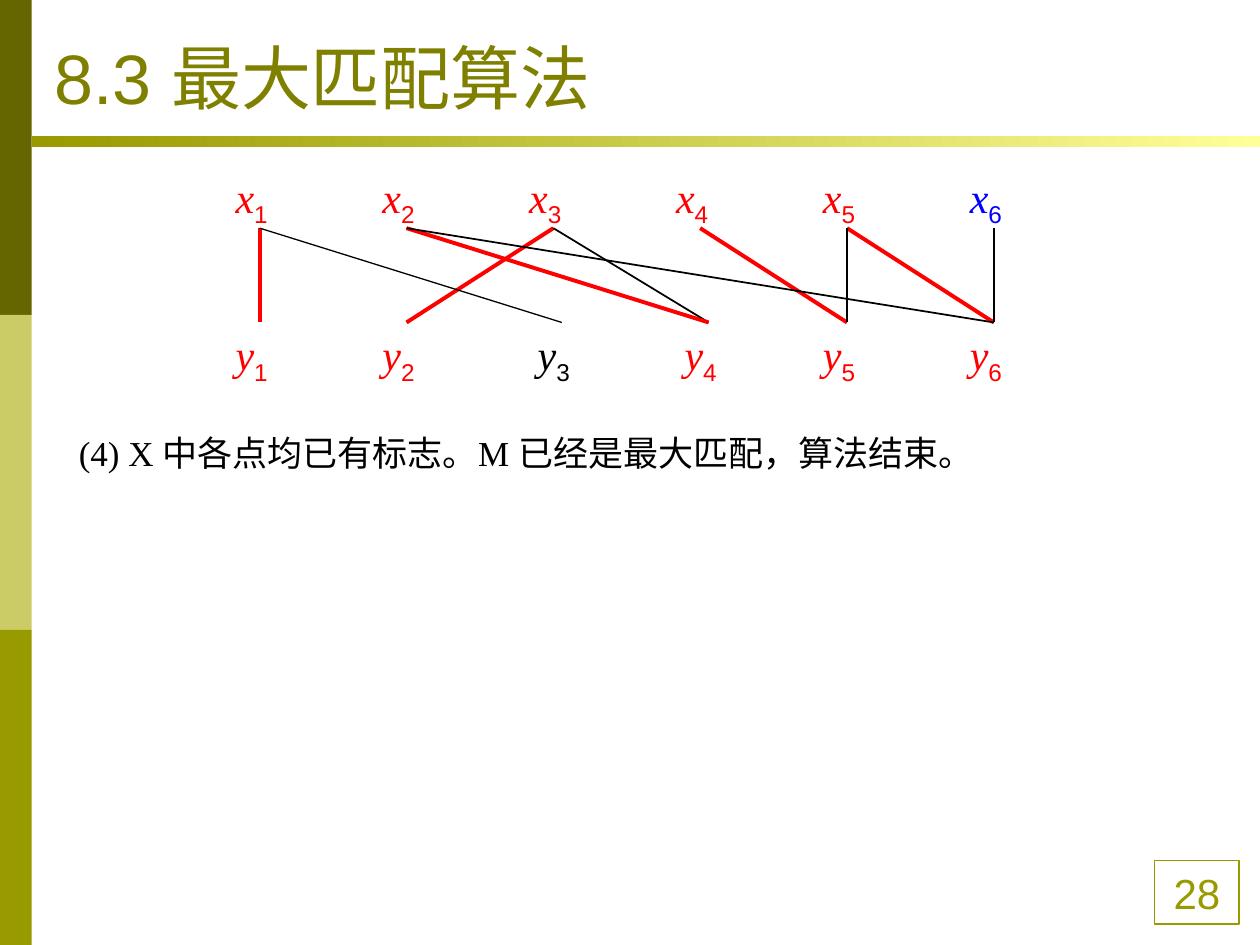
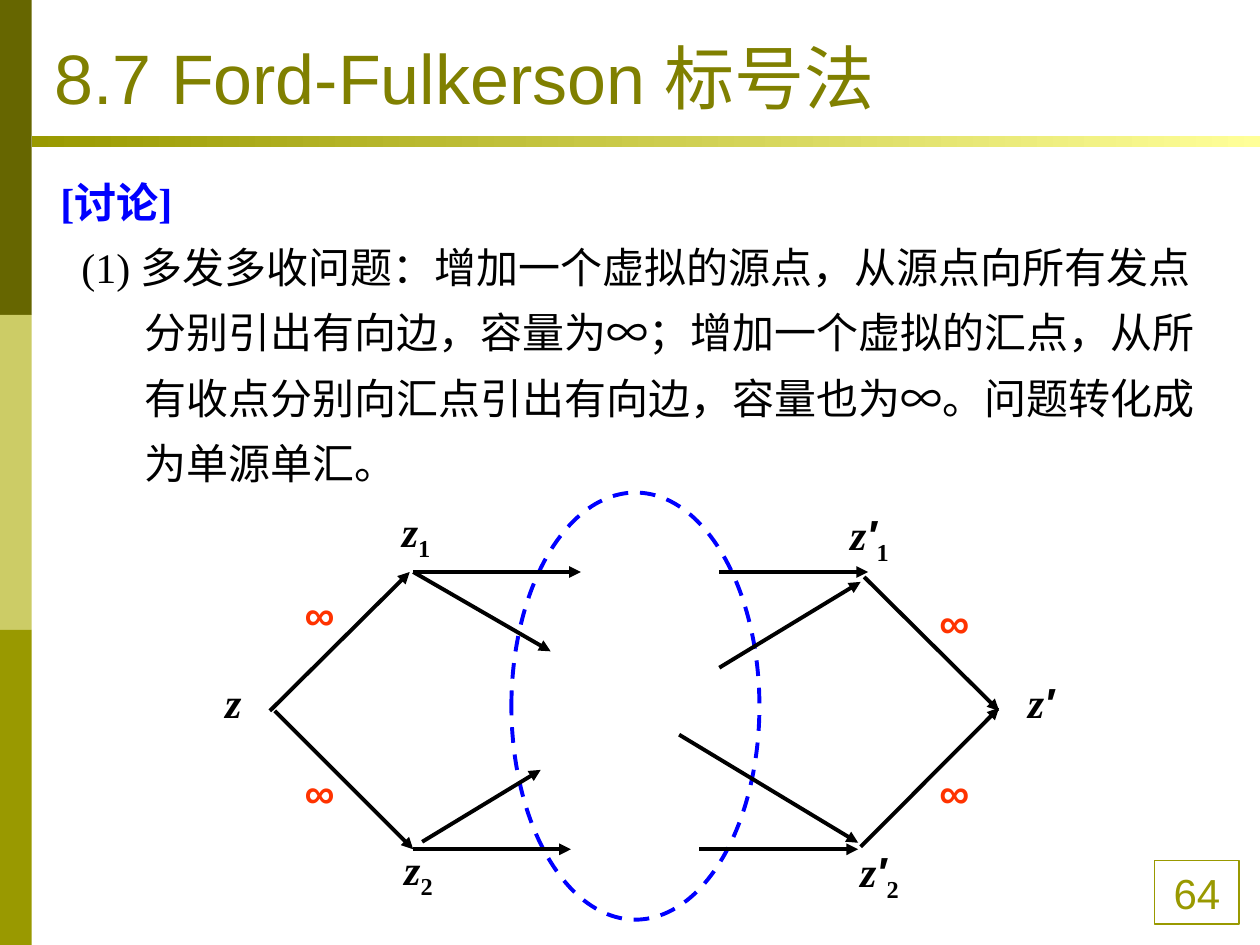
from lxml import etree
from pptx import Presentation
from pptx.dml.color import RGBColor
from pptx.enum.dml import MSO_LINE
from pptx.enum.shapes import MSO_CONNECTOR, MSO_SHAPE
from pptx.enum.text import MSO_ANCHOR, PP_ALIGN
from pptx.oxml.ns import qn
from pptx.util import Cm, Pt

RECTANGLE, ELLIPSE = MSO_SHAPE.RECTANGLE, MSO_SHAPE.OVAL
STRAIGHT, DASH = MSO_CONNECTOR.STRAIGHT, MSO_LINE.DASH
CENTER, BOTTOM = PP_ALIGN.CENTER, MSO_ANCHOR.BOTTOM
TOP_SIDE = 0

SANS, SERIF = "Arial", "Times New Roman"
BLACK, WHITE, RED, BLUE = "000000", "FFFFFF", "FF0000", "0000FF"
OLIVE, TITLE_COLOR, PALE_YELLOW, ORANGE = "999900", "808000", "FFFF99", "FF3300"
SIDE_BANDS = ["666600", "CCCC66", OLIVE]

# All places and lengths below are in centimetres.
SLIDE_WIDTH, SLIDE_HEIGHT = 25.4, 19.05
BAND_WIDTH = 0.64

# Slide 1: matching between two rows of nodes
MATCHING_TITLE, MATCHING_NUMBER = "8.3 最大匹配算法", "28"
MATCHING_NOTE = "(4) X 中各点均已有标志。M 已经是最大匹配，算法结束。"
X_COLORS = [RED] * 5 + [BLUE]
Y_COLORS = [RED, RED, BLACK, RED, RED, RED]
Y_SHIFTS = [0, 0, 0.17, 0.17, 0, 0]
NODE_LEFT, NODE_STEP, NODE_WIDTH, NODE_HEIGHT = 4.5, 2.96, 1.47, 1.42
X_TOP, X_EDGE, Y_TOP = 3.33, 4.6, 6.5
MATCHING_EDGES = [  # x node, y node, colour, line width
    (3, 2, RED, 2.25), (5, 6, RED, 2.25), (1, 1, RED, 2.25), (1, 3, BLACK, 0.75),
    (3, 4, BLACK, 1), (2, 4, RED, 2.25), (4, 5, RED, 2.25), (5, 5, BLACK, 0.75),
    (2, 6, BLACK, 1), (6, 6, BLACK, 0.75),
]

# Slide 2: network with a virtual source and sink
NETWORK_TITLE, NETWORK_NUMBER = "8.7 Ford-Fulkerson 标号法", "64"
DISCUSSION_HEADING = "[讨论]"
DISCUSSION = [
    "(1) 多发多收问题：增加一个虚拟的源点，从源点向所有发点分别引出有向边，容量为",
    "∞",
    "；增加一个虚拟的汇点，从所有收点分别向汇点引出有向边，容量也为",
    "∞",
    "。问题转化成为单源单汇。",
]
NETWORK_OUTLINE = (10.31, 9.93, 5, 8.61)
ARROWS = [  # from x, y, to x, y
    (8.33, 11.53, 11.71, 11.53), (8.33, 17.12, 11.51, 17.12),
    (8.51, 16.97, 10.9, 15.52), (8.33, 11.53, 11.1, 13.13),
    (5.44, 14.33, 8.26, 11.53), (17.35, 17.07, 20.14, 14.27),
    (5.54, 14.33, 8.33, 17.12), (17.42, 11.63, 20.14, 14.33),
    (13.69, 14.81, 17.3, 16.99), (14.5, 13.46, 17.35, 11.73),
    (14.5, 11.53, 17.5, 11.53), (14.1, 17.12, 17.3, 17.12),
]
VERTICES = [  # prime, subscript, left, top
    ("", "1", 7.85, 10.06), ("", "", 4.29, 13.51), ("′", "", 20.47, 13.51),
    ("", "2", 7.9, 16.87), ("′", "1", 16.89, 10.13), ("′", "2", 17.09, 16.92),
]
CAPACITIES = [(5.89, 11.73), (5.89, 15.32), (18.69, 11.91), (18.69, 15.32)]


def rgb(color):
    return RGBColor.from_string(color)


def add_span(para, text, size=24, color=BLACK, font=SERIF, bold=False,
             italic=False, subscript=False):
    span = para.add_run()
    span.text = text
    span.font.size, span.font.name = Pt(size), font
    span.font.bold, span.font.italic = bold, italic
    span.font.color.rgb = rgb(color)
    if subscript:
        span.font._element.set("baseline", "-25000")


def add_text_box(page, left, top, width, height):
    box = page.shapes.add_textbox(Cm(left), Cm(top), Cm(width), Cm(height))
    box.text_frame.word_wrap = True
    return box


def hang(para, first_line):
    """Give a hanging indent whose first line starts first_line cm in."""
    margin = 1.7
    properties = para._p.get_or_add_pPr()
    properties.set("marL", str(Cm(margin)))
    properties.set("indent", str(Cm(first_line - margin)))
    para.line_spacing = 1.3


def add_block(page, shape_type, place, fill=None, line=None, line_width=0.75):
    block = page.shapes.add_shape(shape_type, *map(Cm, place))
    block.shadow.inherit = False
    if fill:
        block.fill.solid()
        block.fill.fore_color.rgb = rgb(fill)
    else:
        block.fill.background()
    if line:
        block.line.color.rgb = rgb(line)
        block.line.width = Pt(line_width)
    else:
        block.line.fill.background()
    return block


def add_line(page, start_x, start_y, end_x, end_y, color=BLACK, width=2.25, arrow=False):
    line = page.shapes.add_connector(
        STRAIGHT, Cm(start_x), Cm(start_y), Cm(end_x), Cm(end_y))
    line.line.color.rgb = rgb(color)
    line.line.width = Pt(width)
    if arrow:
        head = etree.SubElement(line.line._get_or_add_ln(), qn("a:tailEnd"))
        head.set("type", "triangle")
    etree.SubElement(line._element.spPr, qn("a:effectLst"))
    return line


def add_page(deck, title, number):
    """Add a slide with side bands, title rule, title and page number."""
    page = deck.slides.add_slide(deck.slide_layouts[6])
    band_height = SLIDE_HEIGHT / len(SIDE_BANDS)
    for index, color in enumerate(SIDE_BANDS):
        add_block(page, RECTANGLE, (0, index * band_height, BAND_WIDTH, band_height), color)

    number_box = add_block(page, RECTANGLE, (23.28, 17.35, 1.7, 1.28), line=OLIVE)
    para = number_box.text_frame.paragraphs[0]
    para.alignment = CENTER
    add_span(para, number, color=OLIVE, font=SANS)

    rule = add_block(page, RECTANGLE, (BAND_WIDTH, 2.74, SLIDE_WIDTH - BAND_WIDTH, 0.23))
    rule.fill.gradient()
    rule.fill.gradient_angle = 0
    for stop, color in zip(rule.fill.gradient_stops, (OLIVE, PALE_YELLOW)):
        stop.color.rgb = rgb(color)

    title_box = add_text_box(page, 0.85, 0.33, 22.86, 2.18)
    title_box.text_frame.vertical_anchor = BOTTOM
    add_span(title_box.text_frame.paragraphs[0], title, size=40, color=TITLE_COLOR, font=SANS)
    return page


def add_node_row(page, letter, top, colors, shifts):
    boxes = []
    for index, (color, shift) in enumerate(zip(colors, shifts)):
        box = add_text_box(page, NODE_LEFT + index * NODE_STEP + shift, top,
                           NODE_WIDTH, NODE_HEIGHT)
        para = box.text_frame.paragraphs[0]
        add_span(para, letter, color=color, italic=True)
        add_span(para, str(index + 1), color=color, font=SANS, subscript=True)
        boxes.append(box)
    return boxes


def build_matching(deck):
    page = add_page(deck, MATCHING_TITLE, MATCHING_NUMBER)
    note = add_text_box(page, 0.99, 8.33, 23.95, 1.8).text_frame.paragraphs[0]
    hang(note, 0.35)
    add_span(note, MATCHING_NOTE, size=20)

    add_node_row(page, "x", X_TOP, X_COLORS, [0] * len(X_COLORS))
    y_boxes = add_node_row(page, "y", Y_TOP, Y_COLORS, Y_SHIFTS)
    for x_node, y_node, color, width in MATCHING_EDGES:
        start_x = NODE_LEFT + (x_node - 1) * NODE_STEP + NODE_WIDTH / 2
        edge = add_line(page, start_x, X_EDGE, start_x, Y_TOP, color, width)
        edge.end_connect(y_boxes[y_node - 1], TOP_SIDE)


def build_network(deck):
    page = add_page(deck, NETWORK_TITLE, NETWORK_NUMBER)
    frame = add_text_box(page, 0.97, 3.12, 23.6, 7.01).text_frame
    heading, body = frame.paragraphs[0], frame.add_paragraph()
    hang(heading, 0)
    add_span(heading, DISCUSSION_HEADING, color=BLUE, bold=True)
    hang(body, 0.42)
    for text in DISCUSSION:
        add_span(body, text, font=SANS if text == "∞" else SERIF)

    outline = add_block(page, ELLIPSE, NETWORK_OUTLINE, WHITE, BLUE, 2.25)
    outline.line.dash_style = DASH
    for ends in ARROWS:
        add_line(page, *ends, arrow=True)
    for prime, subscript, left, top in VERTICES:
        width = 1.8 if prime and subscript else 1.19
        box = add_text_box(page, left, top, width, 1.42 if subscript else 1.27)
        para = box.text_frame.paragraphs[0]
        add_span(para, "z", bold=True, italic=True)
        if prime:
            add_span(para, prime, font=SANS, bold=True, italic=True)
        if subscript:
            add_span(para, subscript, bold=True, subscript=True)
    for left, top in CAPACITIES:
        para = add_text_box(page, left, top, 1.19, 1.27).text_frame.paragraphs[0]
        add_span(para, "∞", color=ORANGE, font=SANS, bold=True)


def main():
    deck = Presentation()
    deck.slide_width, deck.slide_height = Cm(SLIDE_WIDTH), Cm(SLIDE_HEIGHT)
    build_matching(deck)
    build_network(deck)
    deck.save("out.pptx")


if __name__ == "__main__":
    main()
